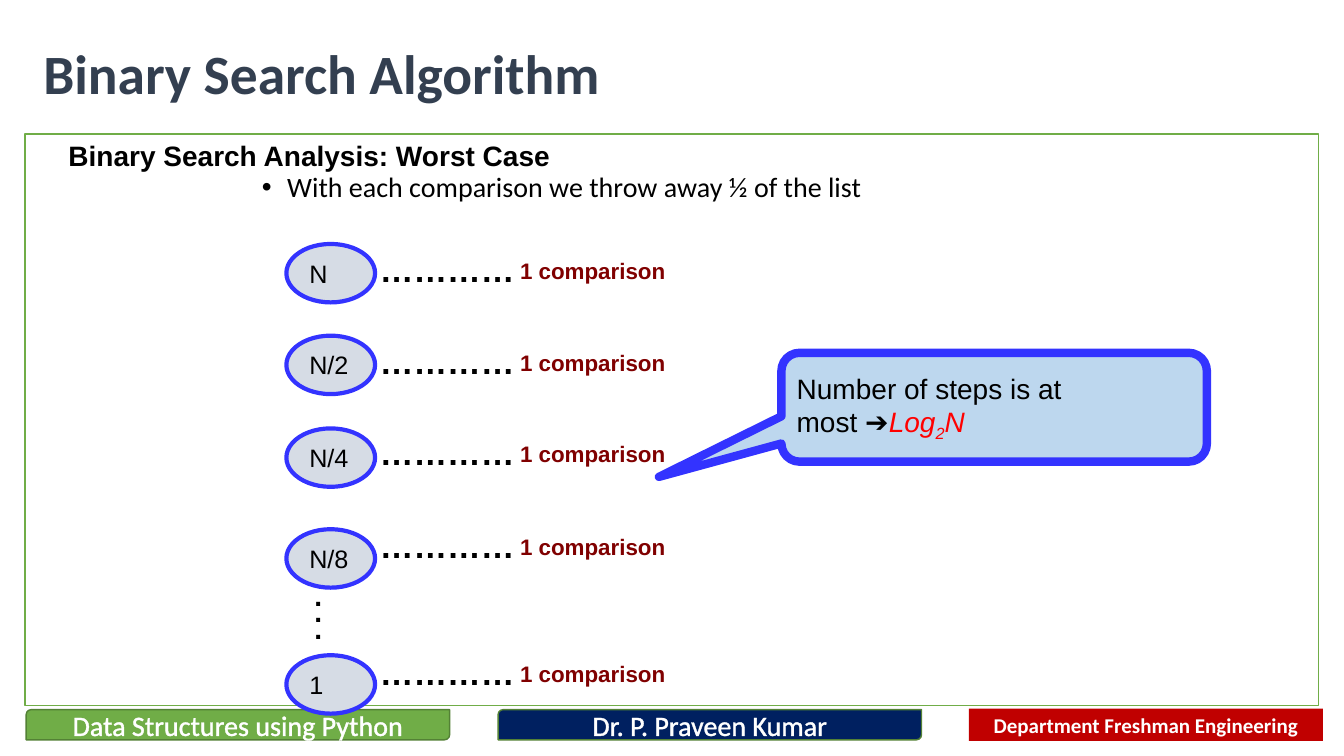
"""Build the Binary Search Algorithm slide on worst-case analysis."""
from dataclasses import dataclass
from typing import Optional

from lxml.etree import SubElement
from pptx import Presentation
from pptx.dml.color import RGBColor
from pptx.enum.shapes import MSO_SHAPE as Shape
from pptx.enum.text import MSO_ANCHOR as Anchor, MSO_AUTO_SIZE as AutoSize, PP_ALIGN as Align
from pptx.oxml.ns import qn
from pptx.util import Inches, Pt

WHITE = RGBColor(0xFF, 0xFF, 0xFF)
BLACK = RGBColor(0x00, 0x00, 0x00)
SLATE = RGBColor(0x33, 0x3F, 0x50)
GREEN = RGBColor(0x70, 0xAD, 0x47)
DARK_GREEN = RGBColor(0x53, 0x81, 0x35)
NAVY = RGBColor(0x00, 0x20, 0x60)
CRIMSON = RGBColor(0xC0, 0x00, 0x00)
MAROON = RGBColor(0x80, 0x00, 0x00)
RED = RGBColor(0xFF, 0x00, 0x00)
BLUE = RGBColor(0x33, 0x33, 0xFF)
GREY = RGBColor(0xD6, 0xDC, 0xE5)
PALE_BLUE = RGBColor(0xBD, 0xD7, 0xEE)


@dataclass(frozen=True)
class Footer:
    text: str
    box: tuple
    fill: RGBColor
    shape: Shape = Shape.ROUND_2_DIAG_RECTANGLE
    border: Optional[RGBColor] = DARK_GREEN
    size: float = 20
    bold: bool = False


@dataclass(frozen=True)
class Step:
    label: str
    oval_top: float
    dots_top: float


FOOTERS = (
    Footer("Department Freshman Engineering", (9.61, 7.03, 3.51, 0.32), CRIMSON,
           Shape.RECTANGLE, None, 15, True),
    Footer("Data Structures using Python", (0.26, 7.04, 4.2, 0.3), GREEN),
    Footer("Dr. P. Praveen Kumar", (4.94, 7.04, 4.2, 0.3), NAVY),
)
STEPS = (
    Step("N", 2.42, 2.42),
    Step("N/2", 3.33, 3.33),
    Step("N/4", 4.25, 4.24),
    Step("N/8", 5.25, 5.16),
    Step("1", 6.5, 6.42),
)


def add_run(paragraph, text: str, *, size: float = 20, font: str = "Arial",
            color: RGBColor = BLACK, bold: bool = False, italic: bool = False,
            baseline: int = 0, outline: Optional[RGBColor] = None) -> None:
    """Append one formatted run."""
    run = paragraph.add_run()
    run.text = text
    run.font.name, run.font.size = font, Pt(size)
    run.font.bold, run.font.italic = bold, italic
    run.font.color.rgb = color
    properties = run.font._element
    if baseline:
        properties.set("baseline", str(baseline * 1000))
    if outline is not None:
        edge = SubElement(properties, qn("a:ln"), w=str(Pt(1.45)))
        properties.insert(0, edge)
        SubElement(SubElement(edge, qn("a:solidFill")), qn("a:srgbClr"), val=str(outline))


def write(frame, text: str, *, align: Align = Align.LEFT, anchor: Anchor = Anchor.TOP,
          wrap: bool = True, spacing: float = 1.0, **run_format) -> None:
    """Fill a text frame, one paragraph for each line of text."""
    frame.word_wrap, frame.vertical_anchor = wrap, anchor
    for index, line in enumerate(text.split("\n")):
        paragraph = frame.add_paragraph() if index else frame.paragraphs[0]
        paragraph.alignment, paragraph.line_spacing = align, spacing
        add_run(paragraph, line, **run_format)


def add_label(slide, text: str, box: tuple, **text_format):
    """Add a text box and return its frame."""
    frame = slide.shapes.add_textbox(*map(Inches, box)).text_frame
    write(frame, text, **text_format)
    return frame


def add_figure(slide, kind: Shape, box: tuple, *, fill: Optional[RGBColor] = None,
               border: Optional[RGBColor] = None, width: float = 1):
    """Add a flat preset shape."""
    figure = slide.shapes.add_shape(kind, *map(Inches, box))
    figure.shadow.inherit = False
    if fill is None:
        figure.fill.background()
    else:
        figure.fill.solid()
        figure.fill.fore_color.rgb = fill
    if border is None:
        figure.line.fill.background()
    else:
        figure.line.color.rgb, figure.line.width = border, Pt(width)
    return figure


def add_footer(slide, footer: Footer) -> None:
    """Add one footer bar."""
    bar = add_figure(slide, footer.shape, footer.box, fill=footer.fill, border=footer.border)
    write(bar.text_frame, footer.text, align=Align.CENTER, anchor=Anchor.MIDDLE,
          font="Calibri", size=footer.size, color=WHITE, bold=footer.bold,
          outline=None if footer.bold else WHITE)


def add_step(slide, step: Step) -> None:
    """Add a list size with its dotted leader and cost."""
    oval = add_figure(slide, Shape.OVAL, (2.84, step.oval_top, 0.88, 0.58),
                      fill=GREY, border=BLUE, width=3)
    write(oval.text_frame, step.label, anchor=Anchor.MIDDLE, wrap=False, size=18)
    add_label(slide, "…………", (3.67, step.dots_top, 1.82, 0.51), size=24, bold=True)
    add_label(slide, "1 comparison", (5.06, step.dots_top + 0.08, 1.97, 0.37),
              size=16, color=MAROON, bold=True)


def add_title(slide, text: str) -> None:
    """Place and format the title placeholder."""
    title = slide.shapes.title
    title.left, title.top, title.width, title.height = map(Inches, (0.33, 0.42, 6.42, 0.67))
    title.text_frame.auto_size = AutoSize.NONE
    write(title.text_frame, text, anchor=Anchor.MIDDLE, spacing=0.9,
          font="Calibri", size=39.6, color=SLATE, bold=True)


def add_bullet(slide, text: str) -> None:
    """Add the bulleted statement."""
    frame = add_label(slide, text, (2.5, 1.67, 10, 0.67), spacing=0.9, font="Calibri")
    properties = frame.paragraphs[0]._p.get_or_add_pPr()
    properties.set("marL", str(Inches(0.25)))
    properties.set("indent", str(-Inches(0.25)))
    SubElement(properties, qn("a:buFont"), typeface="Arial")
    SubElement(properties, qn("a:buChar"), char="•")


def add_callout(slide) -> None:
    """Add the callout that states the bound."""
    callout = add_figure(slide, Shape.ROUNDED_RECTANGULAR_CALLOUT, (7.75, 3.5, 4.22, 1.08),
                         fill=PALE_BLUE, border=BLUE, width=6)
    for index, value in enumerate((-0.788, 0.64, 0.167)):
        callout.adjustments[index] = value
    frame = callout.text_frame
    write(frame, "Number of steps is at\nmost ➔", anchor=Anchor.MIDDLE, wrap=False)
    for text, baseline in (("Log", 0), ("2", -25), ("N", 0)):
        add_run(frame.paragraphs[1], text, color=RED, italic=True, baseline=baseline)


def main() -> None:
    """Build and save the slide."""
    deck = Presentation()
    deck.slide_width, deck.slide_height = Inches(13.33), Inches(7.5)
    slide = deck.slides.add_slide(deck.slide_layouts[5])
    for footer in FOOTERS:
        add_footer(slide, footer)
    add_title(slide, "Binary Search Algorithm")
    add_figure(slide, Shape.RECTANGLE, (0.25, 1.33, 12.83, 5.67), border=GREEN)
    add_label(slide, "Binary Search Analysis: Worst Case", (0.58, 1.33, 12.25, 0.44), bold=True)
    add_bullet(slide, "With each comparison we throw away ½ of the list")
    for step in STEPS:
        add_step(slide, step)
    add_label(slide, ".\n.\n.", (3.02, 5.83, 0.49, 0.61), spacing=0.5, bold=True)
    add_callout(slide)
    deck.save("out.pptx")


if __name__ == "__main__":
    main()
